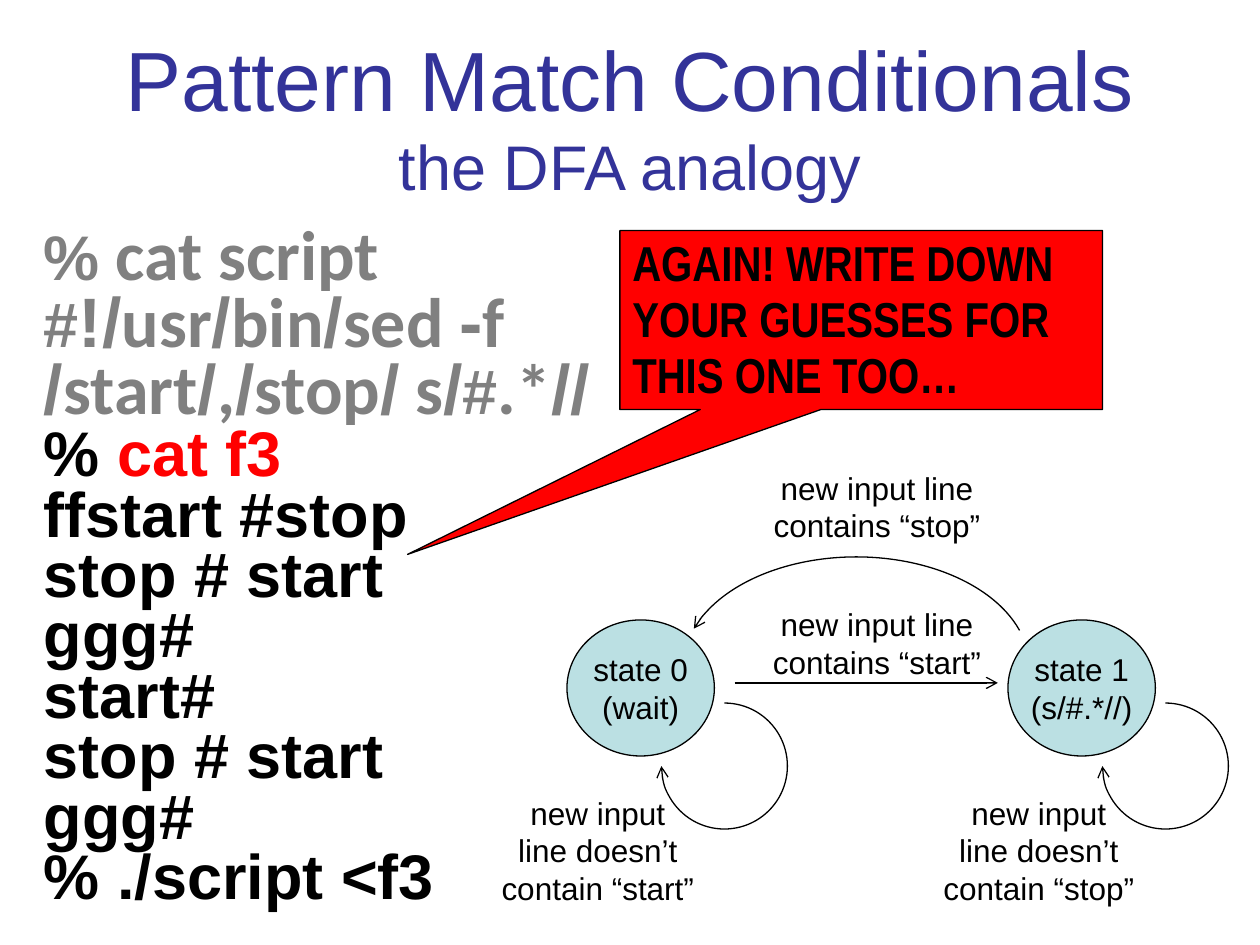
from dataclasses import dataclass
from itertools import groupby

from lxml.etree import SubElement
from pptx import Presentation
from pptx.dml.color import RGBColor
from pptx.enum.shapes import MSO_CONNECTOR as Link, MSO_SHAPE as Kind
from pptx.enum.text import MSO_ANCHOR as Anchor, PP_ALIGN as Align
from pptx.oxml.ns import qn
from pptx.util import Inches, Pt

COLORS = {
    "title": "333399",
    "gray": "808080",
    "black": "000000",
    "red": "FF0000",
    "state": "BBE0E3",
}


@dataclass
class Box:
    left: float
    top: float
    width: float
    height: float

    def lengths(self) -> list:
        return [Inches(n) for n in (self.left, self.top, self.width, self.height)]


@dataclass
class State:
    left: float
    name: str
    action: str
    stay: str


STATES = [
    State(4.5, "state 0", "(wait)", "new input\vline doesn’t contain “start”"),
    State(8, "state 1", "(s/#.*//)", "new input\vline doesn’t contain “stop”"),
]
MOVES = [(3.67, "new input line contains “stop”"),
         (4.75, "new input line contains “start”")]
SCRIPT = ["% cat script", "#!/usr/bin/sed -f", "/start/,/stop/ s/#.*//"]
FILE = ["ffstart #stop", "stop # start", "ggg#", "start#",
        "stop # start", "ggg#", "% ./script <f3"]


def color(name: str) -> RGBColor:
    return RGBColor.from_string(COLORS[name])


def style(font, size: float, name: str = "black", face: str = "Arial",
          bold: bool = False) -> None:
    font.size, font.name, font.bold = Pt(size), face, bold
    font.color.rgb = color(name)


def add_text(slide, box: Box):
    frame = slide.shapes.add_textbox(*box.lengths()).text_frame
    frame.word_wrap = True
    return frame


def add_lines(frame, lines: list, align=Align.LEFT) -> list:
    """Fill the frame, one paragraph a line, and return the paragraphs."""
    frame.text = "\n".join(lines)
    for para in frame.paragraphs:
        para.alignment = align
    return list(frame.paragraphs)


def add_label(slide, box: Box, text: str) -> None:
    para, = add_lines(add_text(slide, box), [text], Align.CENTER)
    style(para.font, 18)


def add_shape(slide, kind, box: Box, fill: str = ""):
    shape = slide.shapes.add_shape(kind, *box.lengths())
    shape.shadow.inherit = False
    if fill:
        shape.fill.solid()
        shape.fill.fore_color.rgb = color(fill)
    else:
        shape.fill.background()
    outline(shape)
    return shape


def outline(shape) -> None:
    shape.line.color.rgb = color("black")
    shape.line.width = Pt(0.75)


def add_head(shape) -> None:
    SubElement(shape.line._get_or_add_ln(), qn("a:tailEnd"), type="arrow")


def add_arc(slide, box: Box, start: float, end: float):
    """Draw an arc with an arrowhead between two angles in degrees."""
    arc = add_shape(slide, Kind.ARC, box)
    for n, angle in enumerate((start, end)):
        arc.adjustments[n] = angle * 0.6
    add_head(arc)
    return arc


def add_state(slide, state: State) -> None:
    oval = add_shape(slide, Kind.OVAL, Box(state.left, 4.92, 1.17, 1.08), "state")
    frame = oval.text_frame
    frame.margin_left = frame.margin_right = 0
    frame.margin_top = frame.margin_bottom = 0
    frame.vertical_anchor = Anchor.MIDDLE
    for para in add_lines(frame, [state.name, state.action], Align.CENTER):
        style(para.font, 18)
    add_arc(slide, Box(state.left + 0.75, 5.58, 1, 1), 270, 180)
    add_label(slide, Box(state.left - 0.67, 6.25, 1.83, 1), state.stay)


def add_moves(slide) -> None:
    """Draw the arrows between the two states, with their labels."""
    line = slide.shapes.add_connector(
        Link.STRAIGHT, Inches(5.83), Inches(5.42), Inches(7.92), Inches(5.42))
    outline(line)
    add_head(line)
    SubElement(line._element.spPr, qn("a:effectLst"))
    for top, text in MOVES:
        add_label(slide, Box(5.92, top, 2.08, 0.75), text)
    back = add_arc(slide, Box(5.92, 3.92, 1.75, 2.75), 282.68, 76.69)
    back.rotation = 270
    back._element.spPr.xfrm.set("flipV", "1")


def script_font(char: str) -> tuple:
    """Give face and size: signs are in Arial, all else in Calibri."""
    face = "Arial" if char in "%#!/-" else "Calibri"
    return face, 36 if char in "%#" else 40


def add_code(slide) -> None:
    frame = add_text(slide, Box(0.25, 1.75, 7.25, 5.59))
    paras = add_lines(frame, [""] * len(SCRIPT) + [""] + FILE)
    for para in paras:
        para.line_spacing = 0.8
    for para, text in zip(paras, SCRIPT):
        for (face, size), chars in groupby(text, script_font):
            run = para.add_run()
            run.text = "".join(chars)
            style(run.font, size, "gray", face, True)
    command, *rest = paras[len(SCRIPT):]
    for text, name in (("% ", "black"), ("cat f3", "red")):
        run = command.add_run()
        run.text = text
        style(run.font, 36, name, bold=True)
    for para, text in zip(rest, FILE):
        para.text = text
        style(para.font, 36, bold=True)


def add_title(slide) -> None:
    frame = add_text(slide, Box(0.5, 0, 9, 1.83))
    frame.vertical_anchor = Anchor.MIDDLE
    lines = ["Pattern Match Conditionals", "the DFA analogy"]
    for para, size in zip(add_lines(frame, lines, Align.CENTER), (48, 36)):
        style(para.font, size, "title")


def add_callout(slide) -> None:
    note = add_shape(slide, Kind.RECTANGULAR_CALLOUT,
                     Box(4.92, 1.83, 3.83, 1.42), "red")
    note.adjustments[0], note.adjustments[1] = -0.94, 1.31
    frame = note.text_frame
    frame.vertical_anchor = Anchor.TOP
    para, = add_lines(frame, ["AGAIN! WRITE DOWN YOUR GUESSES FOR THIS ONE TOO…"])
    para.line_spacing = 0.95
    style(para.font, 28, face="Arial Narrow", bold=True)


def main() -> None:
    deck = Presentation()
    deck.slide_width, deck.slide_height = Inches(10), Inches(7.5)
    slide = deck.slides.add_slide(deck.slide_layouts[6])
    add_title(slide)
    add_code(slide)
    for state in STATES:
        add_state(slide, state)
    add_moves(slide)
    add_callout(slide)
    deck.save("out.pptx")


if __name__ == "__main__":
    main()
